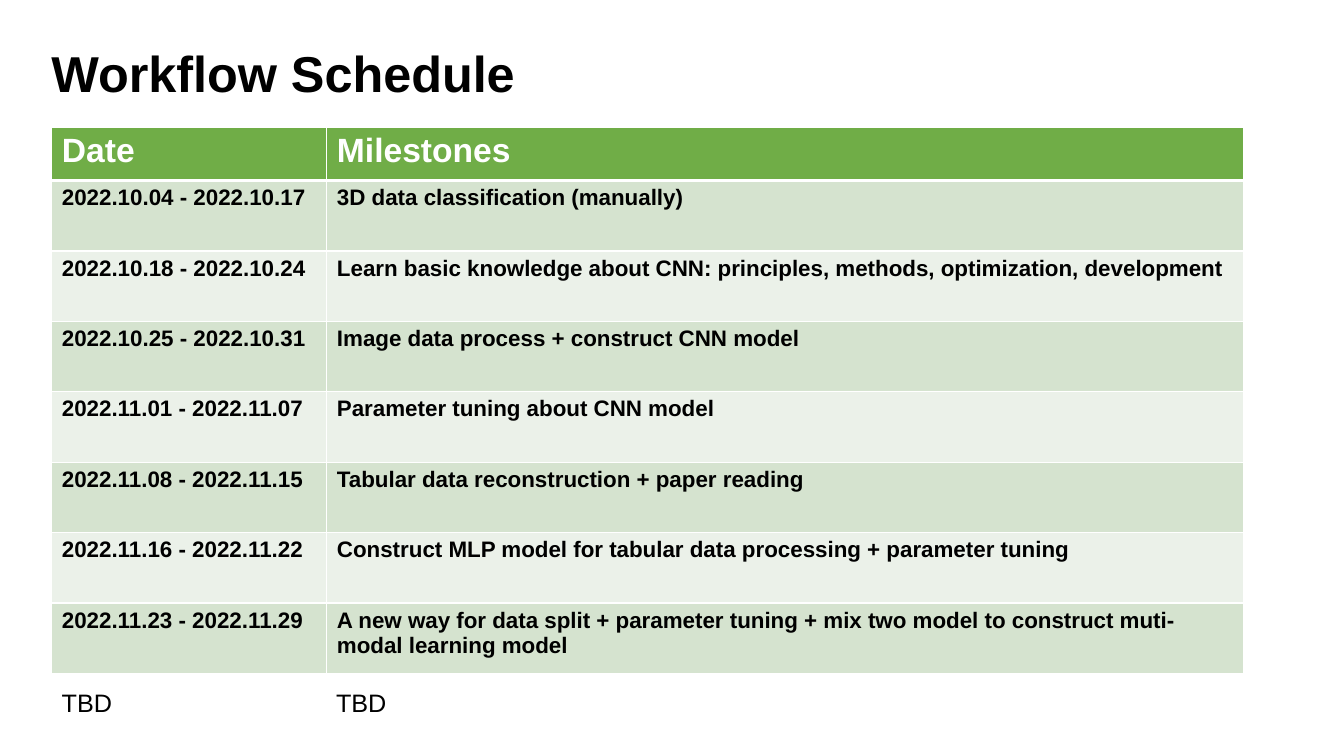
import pptx
import pptx.dml.color
import pptx.enum.text
import pptx.oxml.ns
import pptx.util
import lxml.etree

Pt = pptx.util.Pt
qn = pptx.oxml.ns.qn

MILESTONES = [
    ("Date", "Milestones"),
    ("2022.10.04 - 2022.10.17", "3D data classification (manually)"),
    ("2022.10.18 - 2022.10.24",
     "Learn basic knowledge about CNN: principles, methods, optimization, development"),
    ("2022.10.25 - 2022.10.31", "Image data process + construct CNN model"),
    ("2022.11.01 - 2022.11.07", "Parameter tuning about CNN model"),
    ("2022.11.08 - 2022.11.15", "Tabular data reconstruction + paper reading"),
    ("2022.11.16 - 2022.11.22",
     "Construct MLP model for tabular data processing + parameter tuning"),
    ("2022.11.23 - 2022.11.29",
     "A new way for data split + parameter tuning + mix two model to construct "
     "muti-modal learning model"),
]
HEADER_GREEN, BAND_DARK, BAND_LIGHT = "70AD47", "D5E3CF", "EBF1E9"


def style_text(paragraph, size, color, bold):
    paragraph.font.name = "Arial"
    paragraph.font.size = Pt(size)
    paragraph.font.bold = bold
    paragraph.font.color.rgb = pptx.dml.color.RGBColor.from_string(color)


def add_border(cell, side, width):
    line = lxml.etree.SubElement(cell._tc.get_or_add_tcPr(), qn(f"a:ln{side}"), w=str(Pt(width)))
    fill = lxml.etree.SubElement(line, qn("a:solidFill"))
    lxml.etree.SubElement(fill, qn("a:srgbClr"), val="FFFFFF")


deck = pptx.Presentation()
deck.slide_width, deck.slide_height = Pt(960), Pt(540)
slide = deck.slides.add_slide(deck.slide_layouts[5])

# Title
title = slide.shapes.title
title.left, title.top, title.width, title.height = Pt(29.5), Pt(26.6), Pt(349), Pt(51)
title.text_frame.text = "Workflow Schedule"
title.text_frame.word_wrap = False
title.text_frame.auto_size = pptx.enum.text.MSO_AUTO_SIZE.SHAPE_TO_FIT_TEXT
title.text_frame.vertical_anchor = pptx.enum.text.MSO_ANCHOR.TOP
title.text_frame.paragraphs[0].alignment = pptx.enum.text.PP_ALIGN.LEFT
style_text(title.text_frame.paragraphs[0], 36, "000000", True)

# Schedule table
schedule = slide.shapes.add_table(
    len(MILESTONES), 2, Pt(37), Pt(91), Pt(851), Pt(391)).table
schedule.columns[0].width, schedule.columns[1].width = Pt(196.5), Pt(654.5)
for row_index, entries in enumerate(MILESTONES):
    is_header = row_index == 0
    schedule.rows[row_index].height = Pt(38 if is_header else 50.3)
    band = HEADER_GREEN if is_header else BAND_DARK if row_index % 2 else BAND_LIGHT
    for column_index, entry in enumerate(entries):
        cell = schedule.cell(row_index, column_index)
        cell.text = entry
        style_text(cell.text_frame.paragraphs[0], 24 if is_header else 16,
                   "FFFFFF" if is_header else "000000", True)
        # The rule below the header is thicker
        for side in "LRTB":
            under_header = (row_index, side) in ((0, "B"), (1, "T"))
            add_border(cell, side, 3 if under_header else 1)
        cell.fill.solid()
        cell.fill.fore_color.rgb = pptx.dml.color.RGBColor.from_string(band)

# Open entry below the table, aligned to both columns by a tab stop
pending = slide.shapes.add_textbox(Pt(37), Pt(487.5), Pt(479.5), Pt(29)).text_frame
pending.word_wrap = True
pending.auto_size = pptx.enum.text.MSO_AUTO_SIZE.SHAPE_TO_FIT_TEXT
pending.text = "TBD\tTBD"
style_text(pending.paragraphs[0], 18, "000000", False)
tab_stops = lxml.etree.Element(qn("a:tabLst"))
lxml.etree.SubElement(tab_stops, qn("a:tab"), pos=str(Pt(196)), algn="l")
pending.paragraphs[0]._p.get_or_add_pPr().insert(0, tab_stops)

deck.save("out.pptx")
